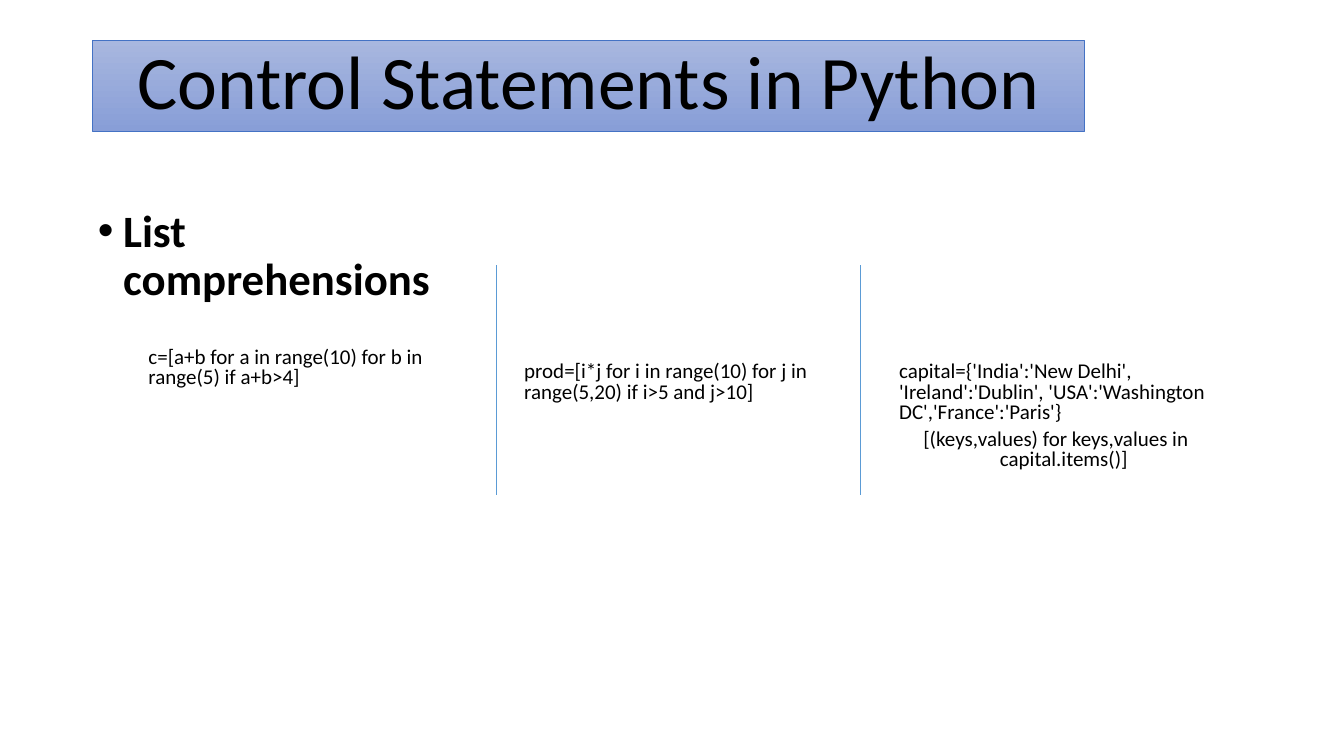
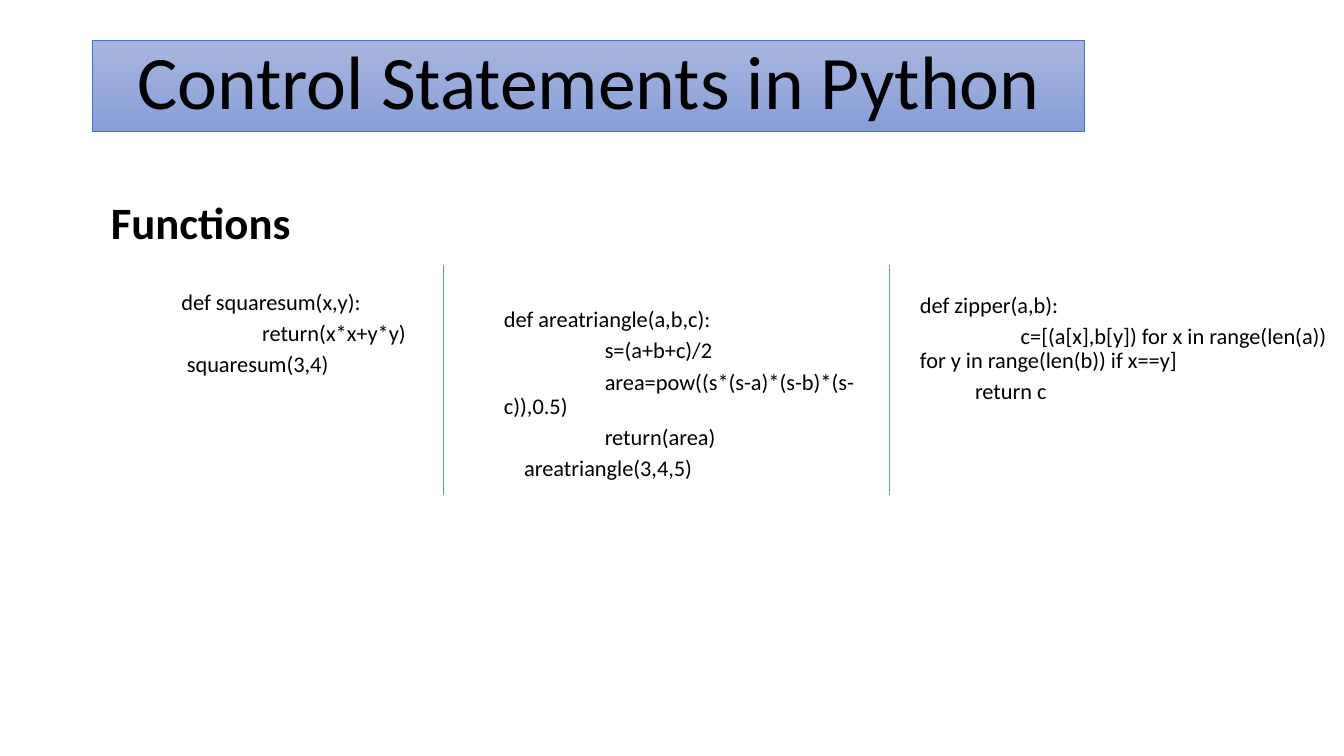
import pptx
import pptx.util
import pptx.dml.color
import pptx.enum.shapes
import pptx.enum.text
import pptx.oxml.ns
import lxml.etree

SLIDE_WIDTH = pptx.util.Inches(13.33)
SLIDE_HEIGHT = pptx.util.Inches(7.5)
FONT = "Calibri"
COLORS = {
    "text": "000000",
    "band_top": "A8B7DF",
    "band_bottom": "889ED7",
    "band_edge": "4472C4",
    "divider": "5B9BD5",
}
DIVIDER_TOP, DIVIDER_BOTTOM = 35.07, 65.47
SMALL_CODE = {"size": 15, "spacing": 0.8}
CODE = {"size": 16, "spacing": 0.9}
HEADING = {"size": 32, "bold": True}


def across(percent):
    return pptx.util.Emu(round(SLIDE_WIDTH * percent / 100))


def down(percent):
    return pptx.util.Emu(round(SLIDE_HEIGHT * percent / 100))


def color(name):
    return pptx.dml.color.RGBColor.from_string(COLORS[name])


def write(paragraph, text, size=16, bold=False, spacing=0.9, before=0,
          align="LEFT", margin=0, indent=0, bullet=None):
    run = paragraph.add_run()
    run.text = text
    run.font.name = FONT
    run.font.size = pptx.util.Pt(size)
    run.font.bold = bold
    run.font.color.rgb = color("text")
    paragraph.line_spacing = spacing
    paragraph.space_before = pptx.util.Pt(before)
    paragraph.alignment = pptx.enum.text.PP_ALIGN[align]
    properties = paragraph._p.get_or_add_pPr()
    properties.set("marL", str(across(margin)))
    properties.set("indent", str(across(indent)))
    if bullet:
        typeface = lxml.etree.SubElement(properties, pptx.oxml.ns.qn("a:buFont"))
        typeface.set("typeface", "Arial")
        mark = lxml.etree.SubElement(properties, pptx.oxml.ns.qn("a:buChar"))
        mark.set("char", bullet)


def add_text(slide, left, top, width, lines, **style):
    box = slide.shapes.add_textbox(
        across(left), down(top), across(width), down(DIVIDER_BOTTOM - top))
    frame = box.text_frame
    frame.word_wrap = True
    frame.margin_left = frame.margin_right = 0
    frame.margin_top = frame.margin_bottom = 0
    for number, (text, layout) in enumerate(lines):
        paragraph = frame.add_paragraph() if number else frame.paragraphs[0]
        write(paragraph, text, before=5 if number else 0, **style, **layout)


def add_divider(slide, x):
    divider = slide.shapes.add_connector(
        pptx.enum.shapes.MSO_CONNECTOR.STRAIGHT,
        across(x), down(DIVIDER_TOP), across(x), down(DIVIDER_BOTTOM))
    divider.line.color.rgb = color("divider")
    divider.line.width = pptx.util.Pt(0.5)
    lxml.etree.SubElement(divider._element.spPr, pptx.oxml.ns.qn("a:effectLst"))


def format_title(title, text):
    title.left, title.top = across(6.9), down(5.33)
    title.width, title.height = across(73.8), down(12)
    title.fill.gradient()
    title.fill.gradient_angle = 270
    for stop, name in zip(title.fill.gradient_stops, ("band_top", "band_bottom")):
        stop.color.rgb = color(name)
    title.line.color.rgb = color("band_edge")
    title.line.width = pptx.util.Pt(0.5)
    frame = title.text_frame
    frame.auto_size = pptx.enum.text.MSO_AUTO_SIZE.NONE
    frame.vertical_anchor = pptx.enum.text.MSO_ANCHOR.BOTTOM
    write(frame.paragraphs[0], text, size=54, align="CENTER")


def add_topic(deck, dividers):
    slide = deck.slides.add_slide(deck.slide_layouts[5])
    format_title(slide.shapes.title, "Control Statements in Python")
    for x in dividers:
        add_divider(slide, x)
    return slide


def build_comprehensions(deck):
    slide = add_topic(deck, (36.9, 63.98))
    add_text(slide, 7.28, 27.6, 26.5, [
        ("List comprehensions", {"margin": 1.88, "indent": -1.88, "bullet": "•"}),
    ], **HEADING)
    add_text(slide, 11.05, 46.1, 24, [
        ("c=[a+b for a in range(10) for b in range(5) if a+b>4]", {}),
    ], **SMALL_CODE)
    add_text(slide, 39, 48, 26, [
        ("prod=[i*j for i in range(10) for j in range(5,20) if i>5 and j>10]", {}),
    ], **SMALL_CODE)
    add_text(slide, 66.9, 48, 26, [
        ("capital={'India':'New Delhi', 'Ireland':'Dublin', "
         "'USA':'Washington DC','France':'Paris'}", {}),
        ("[(keys,values) for keys,values in capital.items()]",
         {"margin": 7.5, "indent": -5.7}),
    ], **SMALL_CODE)


def build_functions(deck):
    slide = add_topic(deck, (33, 66.15))
    add_text(slide, 8.25, 26.5, 33, [("Functions", {})], **HEADING)
    add_text(slide, 13.5, 38.5, 19, [
        ("def squaresum(x,y):", {}),
        ("return(x*x+y*y)", {"indent": 6}),
        ("squaresum(3,4)", {"indent": 0.4}),
    ], **CODE)
    add_text(slide, 37.5, 40.8, 29.5, [
        ("def areatriangle(a,b,c):", {}),
        ("s=(a+b+c)/2", {"indent": 7.5}),
        ("area=pow((s*(s-a)*(s-b)*(s-c)),0.5)", {"indent": 7.5}),
        ("return(area)", {"indent": 7.5}),
        ("areatriangle(3,4,5)", {"indent": 1.5}),
    ], **CODE)
    add_text(slide, 68.45, 38.9, 30.7, [
        ("def zipper(a,b):", {}),
        ("c=[(a[x],b[y]) for x in range(len(a)) for y in range(len(b)) if x==y]",
         {"indent": 7.5}),
        ("return c", {"indent": 4.1}),
    ], **CODE)


def main():
    deck = pptx.Presentation()
    deck.slide_width, deck.slide_height = SLIDE_WIDTH, SLIDE_HEIGHT
    build_comprehensions(deck)
    build_functions(deck)
    deck.save("out.pptx")


if __name__ == "__main__":
    main()
